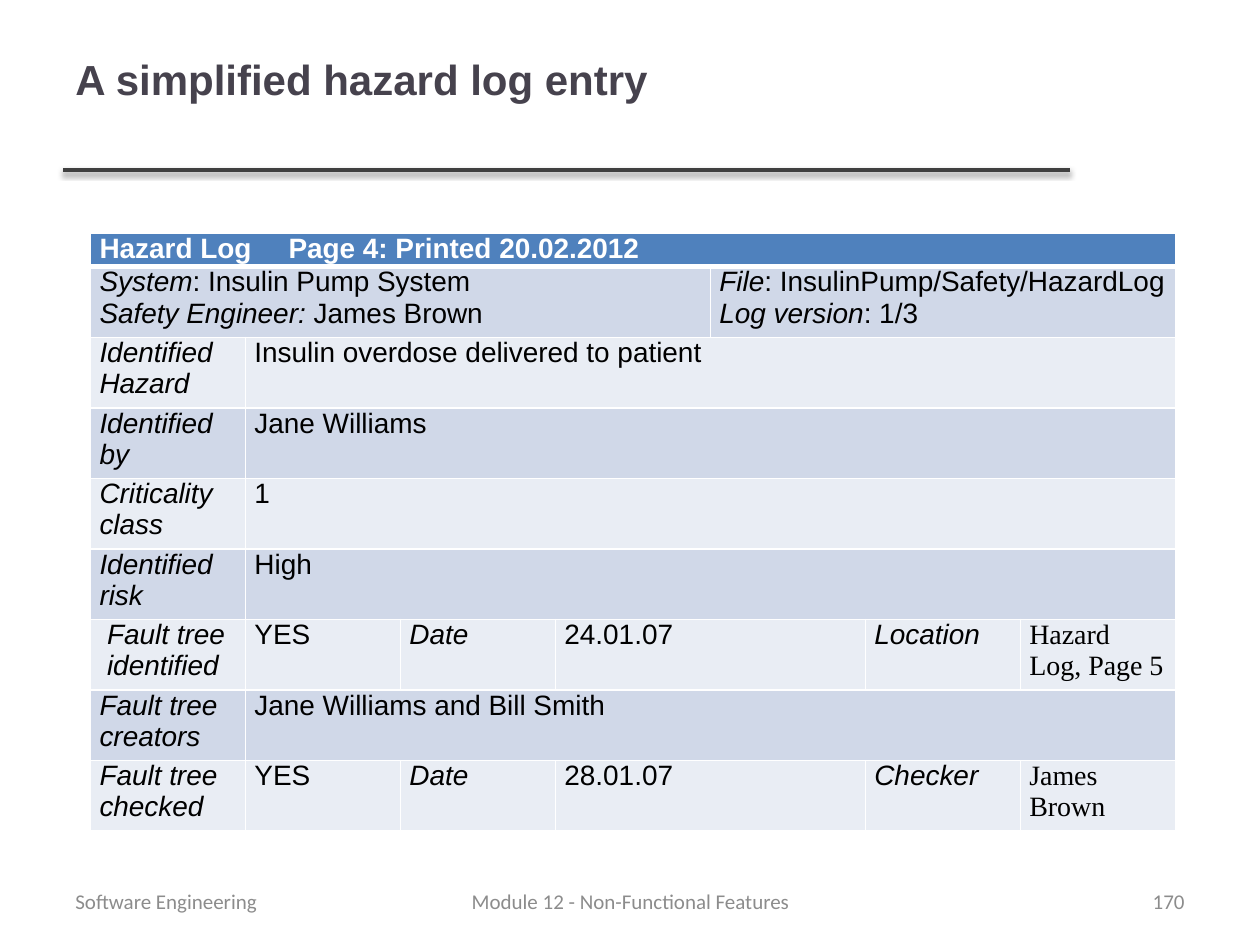
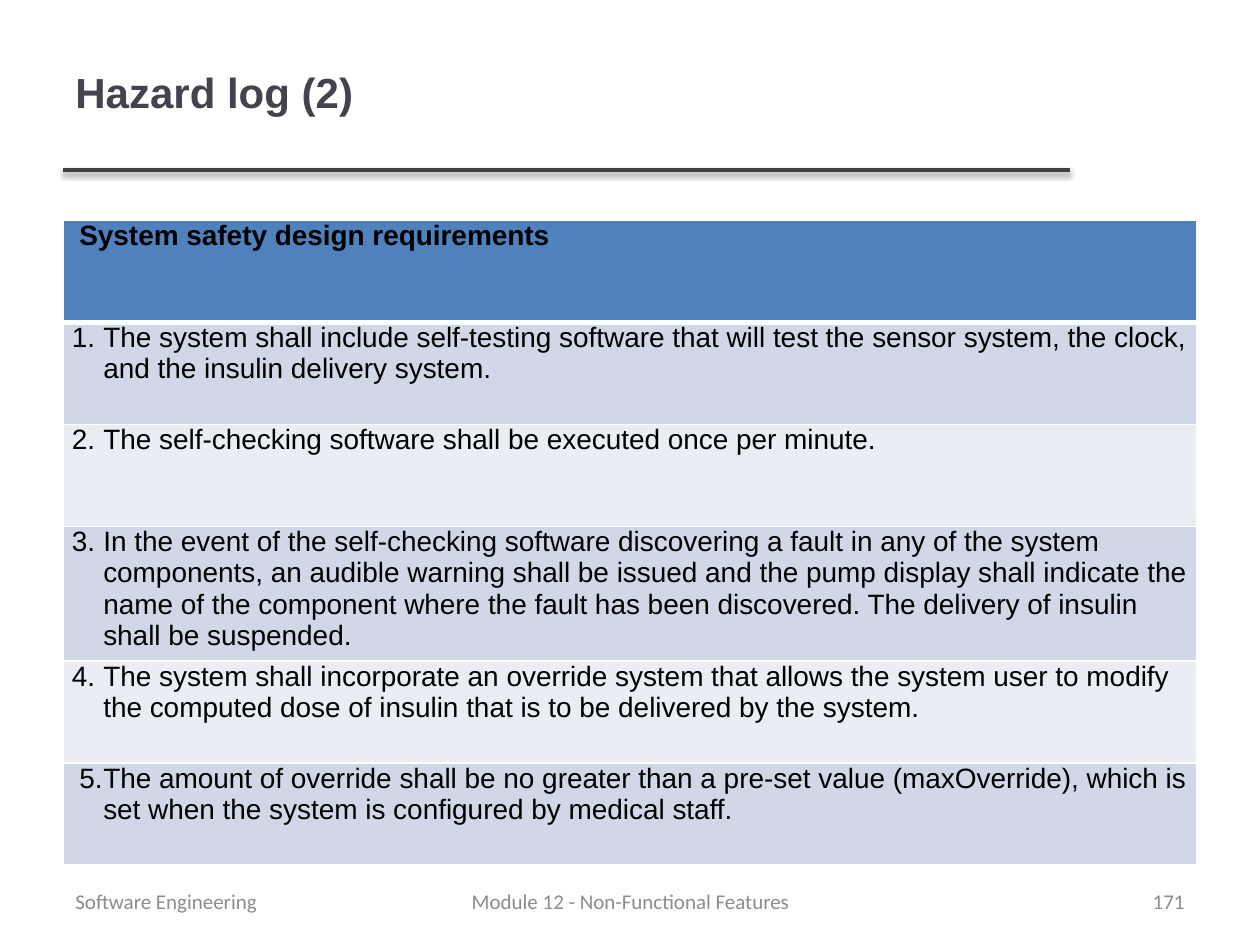
from lxml.etree import SubElement
from pptx import Presentation
from pptx.dml.color import RGBColor
from pptx.enum.shapes import MSO_CONNECTOR
from pptx.enum.text import MSO_ANCHOR, PP_ALIGN
from pptx.oxml import parse_xml
from pptx.oxml.ns import nsdecls, qn
from pptx.util import Inches, Pt

WHITE, BLACK, TITLE, RULE, FOOTER = "FFFFFF", "000000", "46424D", "404040", "8C8C8C"
HEADER, BANDS = "4F81BD", ("D0D8E8", "E9EDF4")
COLUMNS = 7
SERIF = {"font": "Times New Roman"}
SHIFTED = {"left": 0.06}
NUMBERED = {"left": 0.25, "first": -0.25, "before": 2}

FOOTERS = [
    (0.5, 2.33, "Software Engineering", PP_ALIGN.LEFT),
    (3.42, 3.17, "Module 12 - Non-Functional Features", PP_ALIGN.CENTER),
    (7.17, 2.33, "{number}", PP_ALIGN.RIGHT),
]

# Asterisks enclose italic words; each cell is (column span, text, style).
LOG_ROWS = [
    [(7, "Hazard Log\tPage 4: Printed 20.02.2012",
      {"color": WHITE, "bold": True, "before": 3, "after": 3, "tab": 4.69})],
    [(4, "*System*: Insulin Pump System\n*Safety Engineer:* James Brown", {}),
     (3, "*File*: InsulinPump/Safety/HazardLog\n*Log version*: 1/3", {})],
    [(1, "*Identified Hazard*", {}), (6, "Insulin overdose delivered to patient", {})],
    [(1, "*Identified by*", {}), (6, "Jane Williams", {})],
    [(1, "*Criticality class*", {}), (6, "1", {})],
    [(1, "*Identified risk*", {}), (6, "High", {})],
    [(1, "*Fault tree identified*", SHIFTED), (1, "YES", {}), (1, "*Date*", {}),
     (2, "24.01.07", {}), (1, "*Location*", {}), (1, "Hazard Log, Page 5", SERIF)],
    [(1, "*Fault tree creators*", {}), (6, "Jane Williams and Bill Smith", {})],
    [(1, "*Fault tree checked*", {}), (1, "YES", {}), (1, "*Date*", {}),
     (2, "28.01.07", {}), (1, "*Checker*", {"after": 6}), (1, "James Brown", SERIF)],
]

REQUIREMENTS = [
    "The system shall include self-testing software that will test the sensor system, "
    "the clock, and the insulin delivery system.",
    "The self-checking software shall be executed once per minute.",
    "In the event of the self-checking software discovering a fault in any of the system "
    "components, an audible warning shall be issued and the pump display shall indicate "
    "the name of the component where the fault has been discovered. The delivery of "
    "insulin shall be suspended.",
    "The system shall incorporate an override system that allows the system user to "
    "modify the computed dose of insulin that is to be delivered by the system.",
    "The amount of override shall be no greater than a pre-set value (maxOverride), "
    "which is set when the system is configured by medical staff.",
]
REQUIREMENT_ROWS = [
    [(COLUMNS, "System safety design requirements",
      {**SHIFTED, "bold": True, "before": 3, "after": 3, "align": PP_ALIGN.JUSTIFY})]
] + [
    [(COLUMNS, f"{number}.\t{text}", NUMBERED)]
    for number, text in enumerate(REQUIREMENTS, 1)
]
REQUIREMENT_ROWS[1][0][2]
REQUIREMENT_ROWS[-1] = [
    (span, text, {**style, "first": -0.19, "after": 3})
    for span, text, style in REQUIREMENT_ROWS[-1]
]

SLIDES = [
    {"title": "A simplified hazard log entry", "title_box": (0.5, 0, 9, 1.25),
     "number": 170, "rows": LOG_ROWS, "table_at": (0.72, 1.85, 8.61),
     "heights": [0.22] + [0.56] * 8},
    {"title": "Hazard log (2)", "title_box": (0.5, 0.1, 7.98, 1.25),
     "number": 171, "rows": REQUIREMENT_ROWS, "table_at": (0.5, 1.75, 9),
     "heights": [0.81] * 6},
]


def rgb(value):
    return RGBColor.from_string(value)


def write(paragraph, text, size, font="Arial", color=BLACK, bold=False,
          align=PP_ALIGN.LEFT, before=0, after=0, left=0, first=0, tab=None):
    paragraph.alignment = align
    paragraph.space_before, paragraph.space_after = Pt(before), Pt(after)
    properties = paragraph._p.get_or_add_pPr()
    properties.set("marL", str(Inches(left)))
    properties.set("indent", str(Inches(first)))
    if tab:
        stops = SubElement(properties, qn("a:tabLst"))
        SubElement(stops, qn("a:tab"), pos=str(Inches(tab)), algn="r")
    for index, part in enumerate(text.split("*")):
        for line_number, line in enumerate(part.split("\n")):
            if line_number:
                paragraph.add_line_break()
            if line:
                run = paragraph.add_run()
                run.text = line
                run.font.name, run.font.size = font, Pt(size)
                run.font.bold, run.font.italic = bold, index % 2 == 1
                run.font.color.rgb = rgb(color)


def add_text(slide, box, text, size, **style):
    frame = slide.shapes.add_textbox(*map(Inches, box)).text_frame
    frame.word_wrap = True
    frame.vertical_anchor = MSO_ANCHOR.MIDDLE
    write(frame.paragraphs[0], text, size, **style)


def add_rule(slide):
    rule = slide.shapes.add_connector(
        MSO_CONNECTOR.STRAIGHT, Inches(0.5), Inches(1.35), Inches(8.49), Inches(1.35))
    rule.line.color.rgb, rule.line.width = rgb(RULE), Pt(2)
    rule._element.spPr.append(parse_xml(
        f'<a:effectLst {nsdecls("a")}><a:outerShdw blurRad="{Pt(3.1)}" dist="{Pt(1.6)}" '
        f'dir="5400000" rotWithShape="0"><a:srgbClr val="{BLACK}"><a:alpha val="38000"/>'
        '</a:srgbClr></a:outerShdw></a:effectLst>'))


def format_cell(cell, row_index):
    properties = cell._tc.get_or_add_tcPr()
    for side in "LRTB":
        width = 3 if row_index == 0 and side == "B" else 1
        properties.append(parse_xml(
            f'<a:ln{side} {nsdecls("a")} w="{Pt(width)}"><a:solidFill>'
            f'<a:srgbClr val="{WHITE}"/></a:solidFill></a:ln{side}>'))
    cell.fill.solid()
    cell.fill.fore_color.rgb = rgb(BANDS[(row_index - 1) % 2] if row_index else HEADER)
    cell.margin_left = cell.margin_right = Inches(0.07)
    cell.margin_top = cell.margin_bottom = 0


def add_grid(slide, rows, position, heights):
    left, top, width = position
    table = slide.shapes.add_table(
        len(rows), COLUMNS, *map(Inches, (left, top, width, sum(heights)))).table
    table.first_row = table.horz_banding = False
    for column in table.columns:
        column.width = Inches(width / COLUMNS)
    for row_index, (cells, height) in enumerate(zip(rows, heights)):
        table.rows[row_index].height = Inches(height)
        for cell in table.rows[row_index].cells:
            format_cell(cell, row_index)
        column_index = 0
        for span, text, style in cells:
            cell = table.cell(row_index, column_index)
            column_index += span
            if span > 1:
                cell.merge(table.cell(row_index, column_index - 1))
            write(cell.text_frame.paragraphs[0], text, 16, **style)


presentation = Presentation()
presentation.slide_width, presentation.slide_height = Inches(10), Inches(7.5)
for content in SLIDES:
    slide = presentation.slides.add_slide(presentation.slide_layouts[6])
    add_rule(slide)
    add_text(slide, content["title_box"], content["title"], 24, color=TITLE, bold=True)
    add_grid(slide, content["rows"], content["table_at"], content["heights"])
    for left, width, text, align in FOOTERS:
        add_text(slide, (left, 6.95, width, 0.4), text.format(number=content["number"]),
                 12, font="Calibri", color=FOOTER, align=align)
presentation.save("out.pptx")
